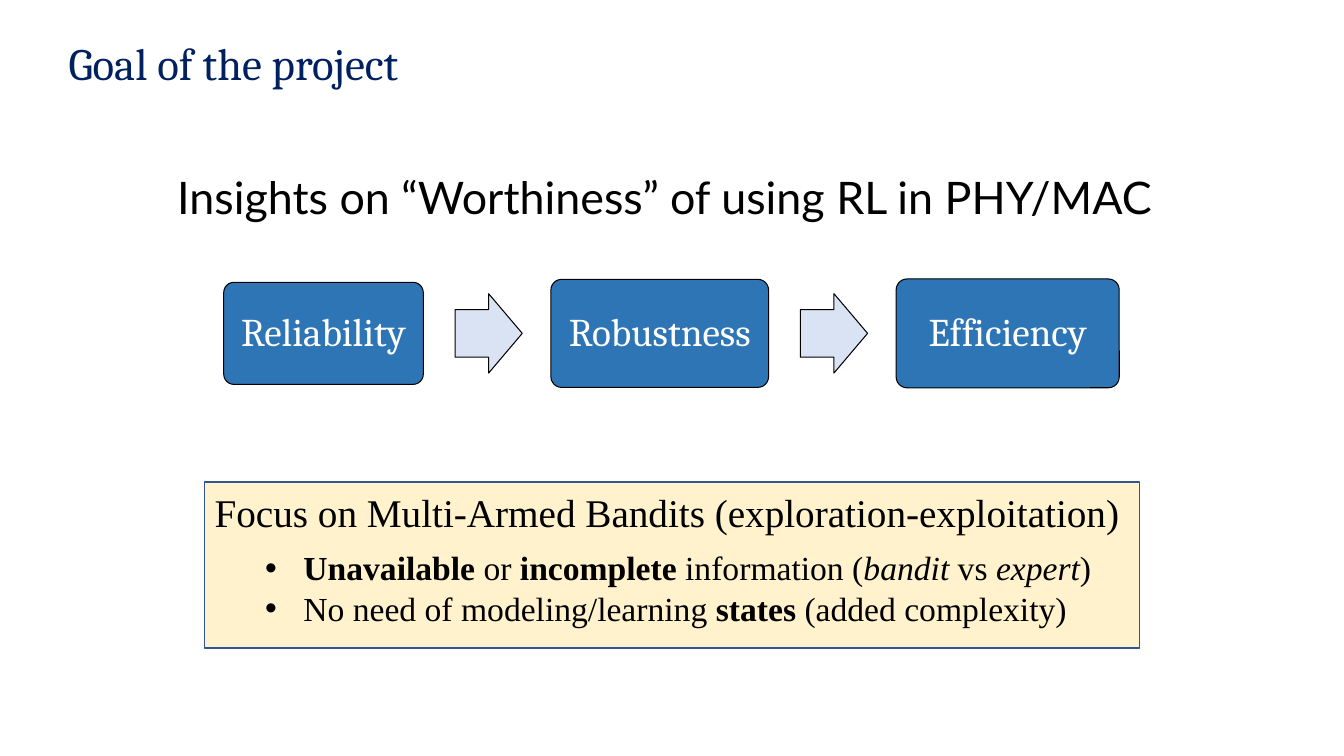
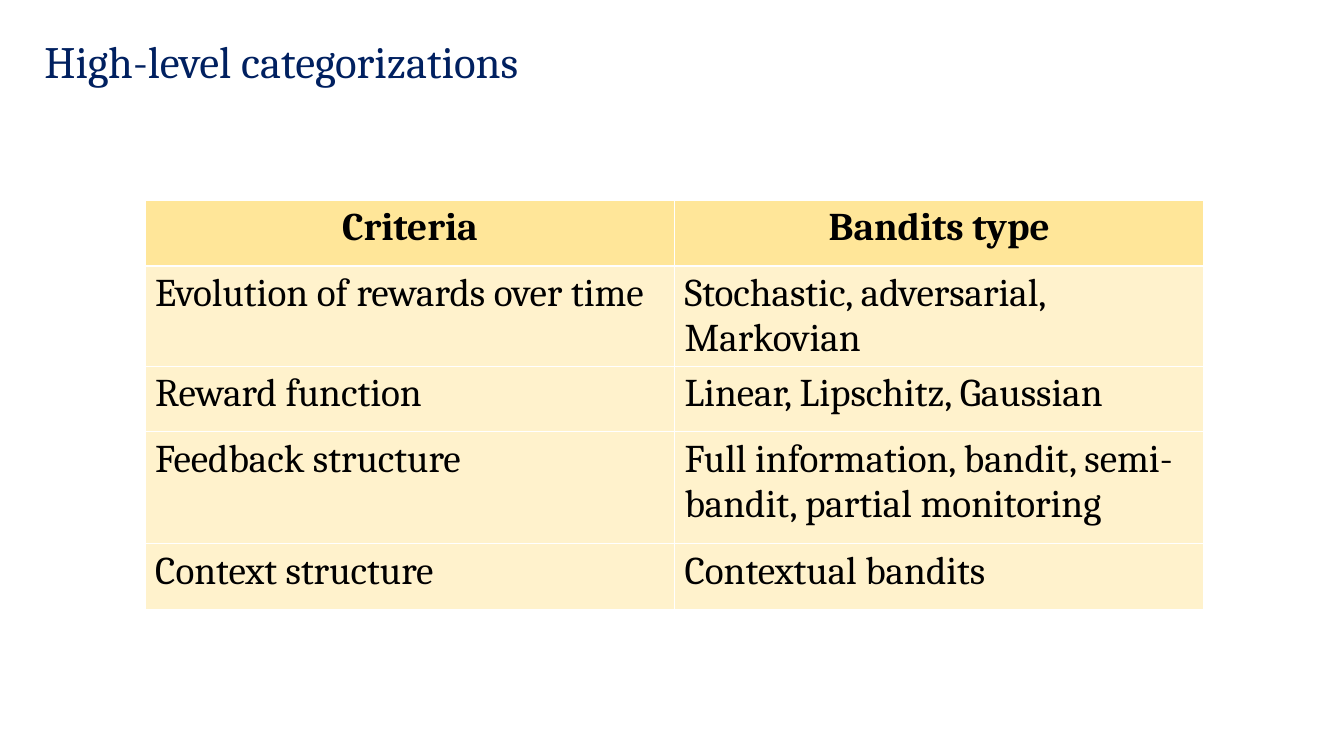
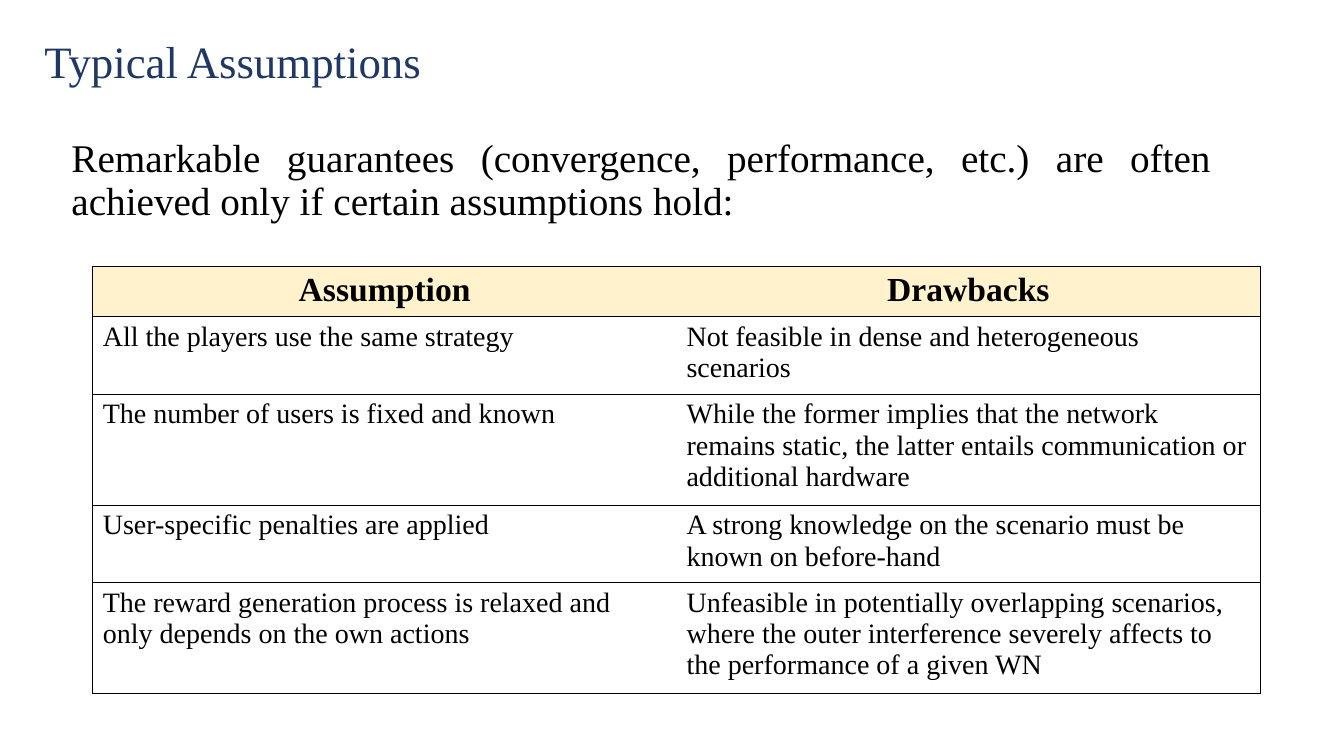
"""Build three slides on bandit learning: the goal, the categories and the assumptions."""
from lxml import etree
from pptx import Presentation, util as u
from pptx.dml.color import RGBColor
from pptx.enum import shapes, text
from pptx.oxml.ns import qn

NAVY = RGBColor(0x00, 0x20, 0x60)
SLATE = RGBColor(0x20, 0x38, 0x64)
BLUE = RGBColor(0x2E, 0x75, 0xB6)
EDGE = RGBColor(0x32, 0x54, 0x91)
PALE = RGBColor(0xDA, 0xE3, 0xF3)
GOLD = RGBColor(0xFF, 0xE6, 0x99)
CREAM = RGBColor(0xFF, 0xF2, 0xCC)
BLACK = RGBColor(0, 0, 0)
WHITE = RGBColor(0xFF, 0xFF, 0xFF)
SERIF, TIMES, SANS = "Cambria", "Times New Roman", "Lato"
LEFT, MID, JUST = text.PP_ALIGN.LEFT, text.PP_ALIGN.CENTER, text.PP_ALIGN.JUSTIFY
KIND = shapes.MSO_SHAPE

deck = Presentation()
deck.slide_width, deck.slide_height = u.Inches(13.33), u.Inches(7.5)


def at(x, y, w, h):
    """Turn percentages of the slide into left, top, width and height."""
    col, row = deck.slide_width / 100, deck.slide_height / 100
    return [u.Emu(round(n)) for n in (x * col, y * row, w * col, h * row)]


def style(frame, size, face, color=BLACK, align=LEFT, space=1.0):
    """Format every paragraph and run of a text frame."""
    frame.word_wrap = True
    for para in frame.paragraphs:
        para.alignment, para.line_spacing = align, space
        for run in para.runs:
            run.font.size, run.font.name = u.Pt(size), face
            run.font.color.rgb = color


heads = [
    ("Goal of the project", SERIF, NAVY, 1.0, (4.35, 4, 54.5, 8.53)),
    ("High-level categorizations", SERIF, NAVY, 0.9, (2.55, 4, 86.3, 8.8)),
    ("Typical Assumptions", TIMES, SLATE, 0.9, (2.55, 4, 86.3, 8.8)),
]
for words, face, color, space, area in heads:
    title = deck.slides.add_slide(deck.slide_layouts[5]).shapes.title
    title.left, title.top, title.width, title.height = at(*area)
    title.text_frame.text = words
    title.text_frame.auto_size = text.MSO_AUTO_SIZE.NONE
    title.text_frame.vertical_anchor = text.MSO_ANCHOR.MIDDLE
    style(title.text_frame, 32, face, color, LEFT, space)
goal, types, limits = deck.slides

lead = goal.shapes.add_textbox(*at(12.45, 21.73, 75.1, 8.53)).text_frame
lead.text = "Insights on “Worthiness” of using RL in PHY/MAC"
style(lead, 32, SANS)

steps = [("Reliability", 14.85, 13.5), ("Robustness", 16.2, 14.3), ("Efficiency", 16.6, 14.4)]
x, mid = 16.65, 44.1
flow = []
for word, wide, high in steps:
    if flow:
        flow.append((KIND.RIGHT_ARROW, "", x + 2.36, 5, 10.5, PALE, (0.6, 0.5)))
        x += 2.36 + 5 + 2.13
    flow.append((KIND.ROUNDED_RECTANGLE, word, x, wide, high, BLUE, (0.1,)))
    x += wide
for kind, word, x, wide, high, color, bends in flow:
    part = goal.shapes.add_shape(kind, *at(x, mid - high / 2, wide, high))
    part.shadow.inherit = False
    for spot, bend in enumerate(bends):
        part.adjustments[spot] = bend
    part.fill.solid()
    part.fill.fore_color.rgb = color
    part.line.color.rgb, part.line.width = BLACK, u.Pt(0.75)
    if word:
        part.text_frame.text = word
        part.text_frame.vertical_anchor = text.MSO_ANCHOR.MIDDLE
        style(part.text_frame, 28, SERIF, WHITE, MID, 0.9)

panel = goal.shapes.add_shape(KIND.RECTANGLE, *at(15.23, 63.73, 69.55, 22))
panel.shadow.inherit = False
panel.fill.solid()
panel.fill.fore_color.rgb = CREAM
panel.line.color.rgb, panel.line.width = EDGE, u.Pt(1)

points = [
    [("Unavailable ", "b"), ("or ", ""), ("incomplete ", "b"), ("information (", ""),
     ("bandit", "i"), (" vs ", ""), ("expert", "i"), (")", "")],
    [("No need of modeling/learning ", ""), ("states ", "b"), ("(added complexity)", "")],
]
notes = goal.shapes.add_textbox(*at(15.23, 71.73, 72.3, 12.13)).text_frame
for spot, point in enumerate(points):
    para = notes.add_paragraph() if spot else notes.paragraphs[0]
    para.level = 1
    props = para._p.get_or_add_pPr()
    props.set("marL", str(u.Inches(0.88)))
    props.set("indent", str(u.Inches(-0.38)))
    etree.SubElement(props, qn("a:buFont")).set("typeface", "Arial")
    etree.SubElement(props, qn("a:buChar")).set("char", "•")
    for words, mark in point:
        run = para.add_run()
        run.text = words
        run.font.bold, run.font.italic = mark == "b", mark == "i"
style(notes, 24, TIMES, BLACK, JUST)

focus = goal.shapes.add_textbox(*at(15.23, 64, 69.55, 7.6)).text_frame
focus.text = "Focus on Multi-Armed Bandits (exploration-exploitation)"
style(focus, 28, TIMES, BLACK, JUST)

intro = limits.shapes.add_textbox(*at(4.58, 17.73, 86.27, 14.53)).text_frame
intro.text = ("Remarkable guarantees (convergence, performance, etc.) are often "
              "achieved only if certain assumptions hold:")
style(intro, 28, TIMES, BLACK, JUST, 0.9)

kinds = [
    ("Criteria", "Bandits type"),
    ("Evolution of rewards over time", "Stochastic, adversarial, Markovian"),
    ("Reward function", "Linear, Lipschitz, Gaussian"),
    ("Feedback structure", "Full information, bandit, semi-bandit, partial monitoring"),
    ("Context structure", "Contextual bandits"),
]
flaws = [
    ("Assumption", "Drawbacks"),
    ("All the players use the same strategy",
     "Not feasible in dense and heterogeneous scenarios"),
    ("The number of users is fixed and known",
     "While the former implies that the network remains static, the latter entails "
     "communication or additional hardware"),
    ("User-specific penalties are applied",
     "A strong knowledge on the scenario must be known on before-hand"),
    ("The reward generation process is relaxed and only depends on the own actions",
     "Unfeasible in potentially overlapping scenarios, where the outer interference "
     "severely affects to the performance of a given WN"),
]
grids = [
    (types, kinds, (10.8, 26.53, 78.77), (8.67, 8.67, 8.67, 14.8, 8.67),
     SERIF, (28, 28), (GOLD, CREAM), False),
    (limits, flaws, (6.9, 35.2, 86.87), (5.47,) * 5,
     TIMES, (24, 20), (CREAM, None), True),
]
for slide, rows, (x, y, wide), highs, face, sizes, fills, ruled in grids:
    grid = slide.shapes.add_table(len(rows), 2, *at(x, y, wide, sum(highs))).table
    grid.horz_banding = False
    for r, row in enumerate(rows):
        grid.rows[r].height = at(0, 0, 0, highs[r])[3]
        body = min(r, 1)
        for c, words in enumerate(row):
            cell = grid.cell(r, c)
            cell.text_frame.text = words
            style(cell.text_frame, sizes[body], face, BLACK, LEFT if body else MID)
            cell.text_frame.paragraphs[0].runs[0].font.bold = not body
            if ruled:
                props = cell._tc.get_or_add_tcPr()
                for side, shown in (("L", c == 0), ("R", c == 1), ("T", True), ("B", True)):
                    rule = etree.SubElement(props, qn("a:ln" + side), w=str(u.Pt(0.5)))
                    if shown:
                        ink = etree.SubElement(rule, qn("a:solidFill"))
                        etree.SubElement(ink, qn("a:srgbClr"), val=str(BLACK))
                    else:
                        etree.SubElement(rule, qn("a:noFill"))
            if fills[body]:
                cell.fill.solid()
                cell.fill.fore_color.rgb = fills[body]
            else:
                cell.fill.background()

deck.save("out.pptx")
